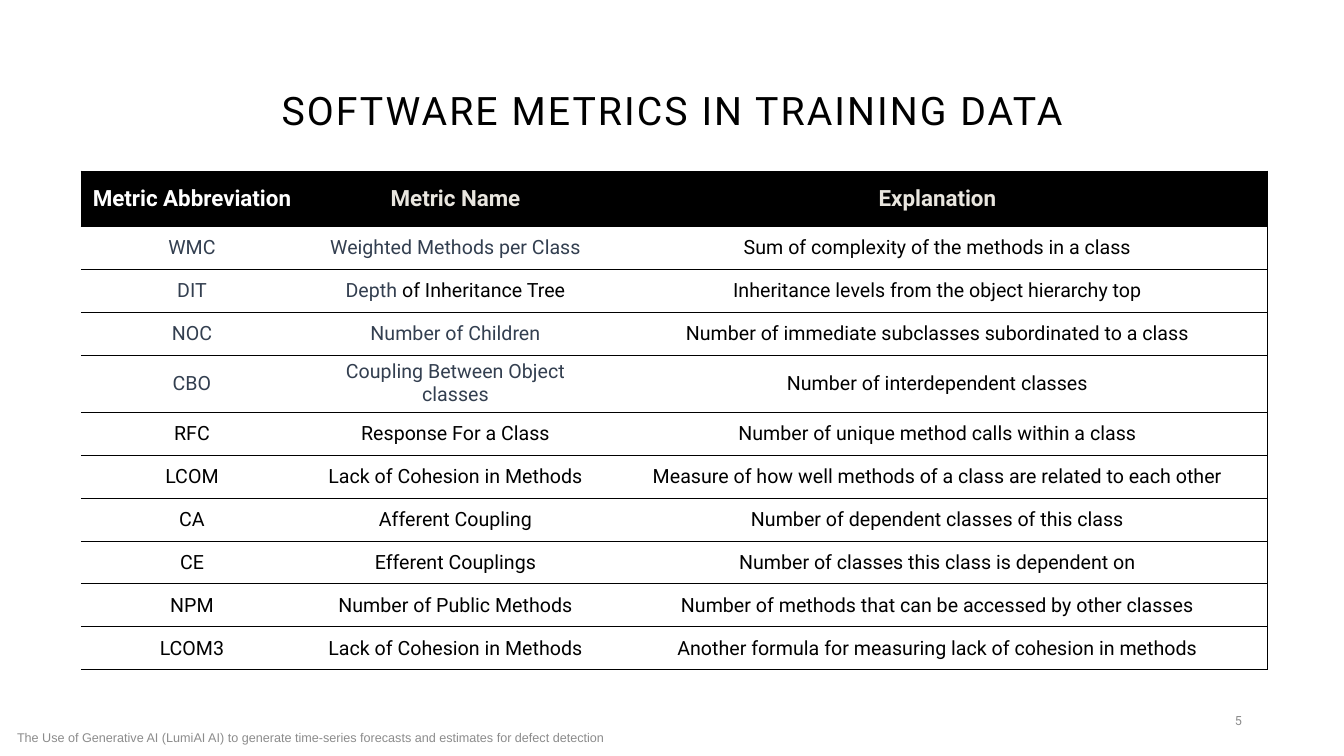
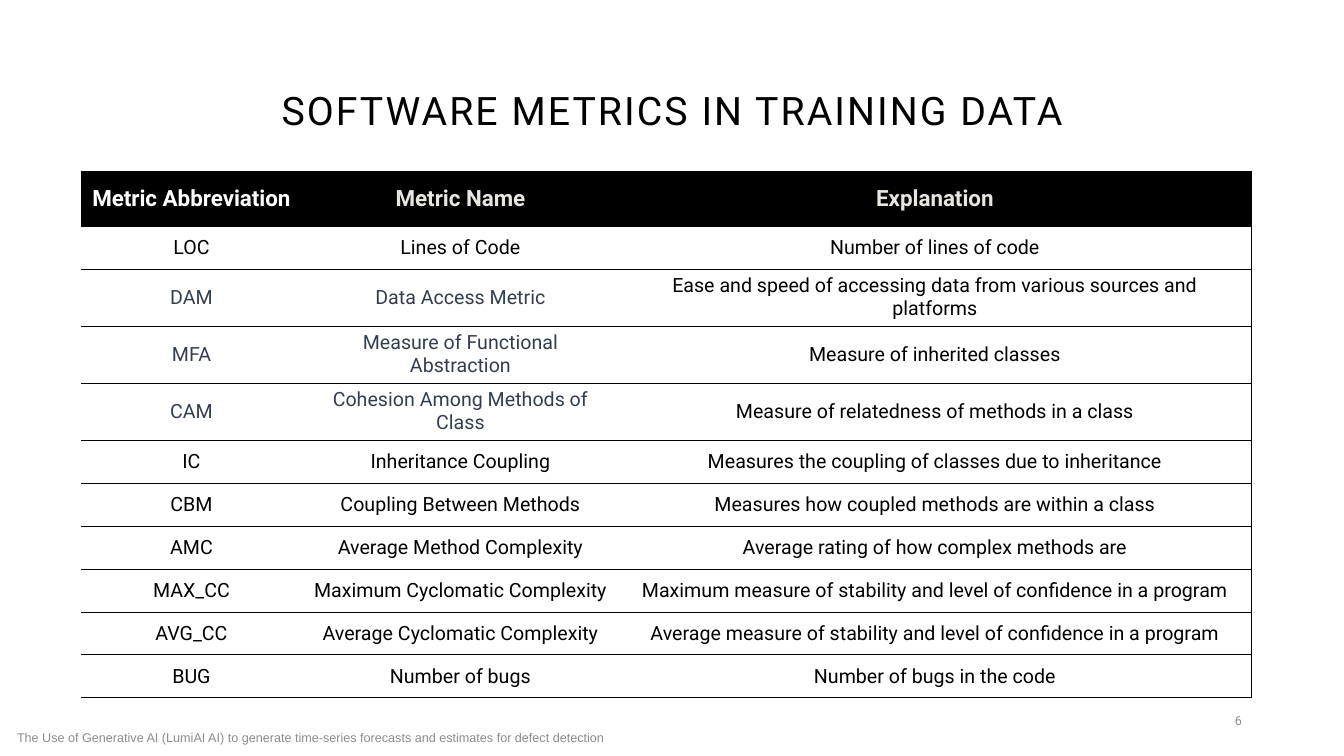
from lxml import etree
from pptx import Presentation
from pptx.dml.color import RGBColor
from pptx.enum.text import MSO_ANCHOR, PP_ALIGN
from pptx.oxml.ns import qn
from pptx.util import Emu, Pt

CENTER, RIGHT, MIDDLE = PP_ALIGN.CENTER, PP_ALIGN.RIGHT, MSO_ANCHOR.MIDDLE

# Content: "|" in a metric name marks where slate text turns black
TITLE = "SOFTWARE METRICS IN TRAINING DATA"
FOOTER = ("The Use of Generative AI (LumiAI AI) to generate time-series "
          "forecasts and estimates for defect detection")
HEADER = ("Metric Abbreviation", "Metric Name", "Explanation")
SLATE_ROWS = {"WMC", "DIT", "NOC", "CBO", "DAM", "MFA", "CAM"}
SLIDES = [
    dict(number="5", columns=(222, 305, 659), two_line={"CBO"}, rows=[
        ("WMC", "Weighted Methods per Class", "Sum of complexity of the methods in a class"),
        ("DIT", "Depth| of Inheritance Tree", "Inheritance levels from the object hierarchy top"),
        ("NOC", "Number of Children", "Number of immediate subclasses subordinated to a class"),
        ("CBO", "Coupling Between Object classes", "Number of interdependent classes"),
        ("RFC", "Response For a Class", "Number of unique method calls within a class"),
        ("LCOM", "Lack of Cohesion in Methods",
         "Measure of how well methods of a class are related to each other"),
        ("CA", "Afferent Coupling", "Number of dependent classes of this class"),
        ("CE", "Efferent Couplings", "Number of classes this class is dependent on"),
        ("NPM", "Number of Public Methods", "Number of methods that can be accessed by other classes"),
        ("LCOM3", "Lack of Cohesion in Methods",
         "Another formula for measuring lack of cohesion in methods"),
    ]),
    dict(number="6", columns=(221, 317, 632), two_line={"DAM", "MFA", "CAM"}, rows=[
        ("LOC", "Lines of Code", "Number of lines of code"),
        ("DAM", "Data Access Metric",
         "Ease and speed of accessing data from various sources and platforms"),
        ("MFA", "Measure of Functional Abstraction", "Measure of inherited classes"),
        ("CAM", "Cohesion Among Methods of Class", "Measure of relatedness of methods in a class"),
        ("IC", "Inheritance Coupling", "Measures the coupling of classes due to inheritance"),
        ("CBM", "Coupling Between Methods", "Measures how coupled methods are within a class"),
        ("AMC", "Average Method Complexity", "Average rating of how complex methods are"),
        ("MAX_CC", "Maximum Cyclomatic Complexity",
         "Maximum measure of stability and level of confidence in a program"),
        ("AVG_CC", "Average Cyclomatic Complexity",
         "Average measure of stability and level of confidence in a program"),
        ("BUG", "Number of bugs", "Number of bugs in the code"),
    ]),
]

# Shared style, lengths in pixels
BLACK, WHITE, CREAM, SLATE, GRAY = "000000", "FFFFFF", "E9E6DF", "333F50", "8C8C8C"
TABLE_LEFT, TABLE_TOP = 81, 171
HEADER_H, ROW_H, TWO_LINE_H = 55, 43, 57
PLAIN_TABLE = "{2D5ABB26-0587-4C30-8999-92F81FD0307C}"


def px(n):
    return Emu(round(n * 914400 / 100.8))


def rgb(color):
    return RGBColor.from_string(color)


def write(tf, runs, size, font="Roboto", align=CENTER, bold=False):
    tf.word_wrap = True
    p = tf.paragraphs[0]
    p.alignment = align
    for text, color in runs:
        r = p.add_run()
        r.text = text
        r.font.name, r.font.size, r.font.bold = font, Pt(size), bold
        r.font.color.rgb = rgb(color)
    return p


def place(sp, left, top, width, height):
    sp.left, sp.top, sp.width, sp.height = map(px, (left, top, width, height))


def add_title(s):
    sp = s.shapes.title
    place(sp, 93, 40, 1159, 146)
    sp.text_frame.vertical_anchor = MIDDLE
    p = write(sp.text_frame, [(TITLE, BLACK)], 28)
    p.line_spacing = 0.9
    p.runs[0].font._element.set("spc", "150")


def add_note(s, box, text, **style):
    sp = s.shapes.add_textbox(*map(px, box))
    sp.text_frame.vertical_anchor = MIDDLE
    write(sp.text_frame, [(text, GRAY)], 9, **style)


def add_borders(cell, sides):
    tcPr = cell._tc.get_or_add_tcPr()
    for side in "LRTB":
        if side in sides:
            ln = etree.SubElement(tcPr, qn("a:ln" + side), w=str(Pt(0.5)))
            fill = etree.SubElement(ln, qn("a:solidFill"))
            etree.SubElement(fill, qn("a:srgbClr"), val=BLACK)


def cell_runs(row, col, is_header):
    if is_header:
        return [(row[col], CREAM if col else WHITE)]
    parts = row[col].split("|")
    first = SLATE if row[0] in SLATE_ROWS and col < 2 else BLACK
    return list(zip(parts, (first, BLACK)))


def add_metrics_table(s, columns, rows, two_line):
    rows = [HEADER] + rows
    heights = [HEADER_H] + [TWO_LINE_H if row[0] in two_line else ROW_H for row in rows[1:]]
    frame = s.shapes.add_table(len(rows), len(columns), px(TABLE_LEFT), px(TABLE_TOP),
                               px(sum(columns)), px(sum(heights)))
    table = frame.table
    table.horz_banding = False
    table._tbl.tblPr.find(qn("a:tableStyleId")).text = PLAIN_TABLE
    for column, width in zip(table.columns, columns):
        column.width = px(width)
    for i, row in enumerate(rows):
        table.rows[i].height = px(heights[i])
        is_header = i == 0
        for j in range(len(columns)):
            cell = table.cell(i, j)
            cell.vertical_anchor = MIDDLE
            left = "L" if is_header and j == 0 else ""
            right = "R" if j == len(columns) - 1 else ""
            add_borders(cell, "TB" + left + right)
            if is_header:
                cell.fill.solid()
                cell.fill.fore_color.rgb = rgb(BLACK)
            else:
                cell.fill.background()
            write(cell.text_frame, cell_runs(row, j, is_header),
                  16 if is_header else 14, bold=is_header)


# Build the slides
prs = Presentation()
prs.slide_width, prs.slide_height = px(1344), px(756)
for content in SLIDES:
    s = prs.slides.add_slide(prs.slide_layouts[5])
    add_title(s)
    add_metrics_table(s, content["columns"], content["rows"], content["two_line"])
    add_note(s, (950, 701, 302, 40), content["number"], align=RIGHT)
    add_note(s, (0, 718, 621, 40), FOOTER, font="Arial")
prs.save("out.pptx")
